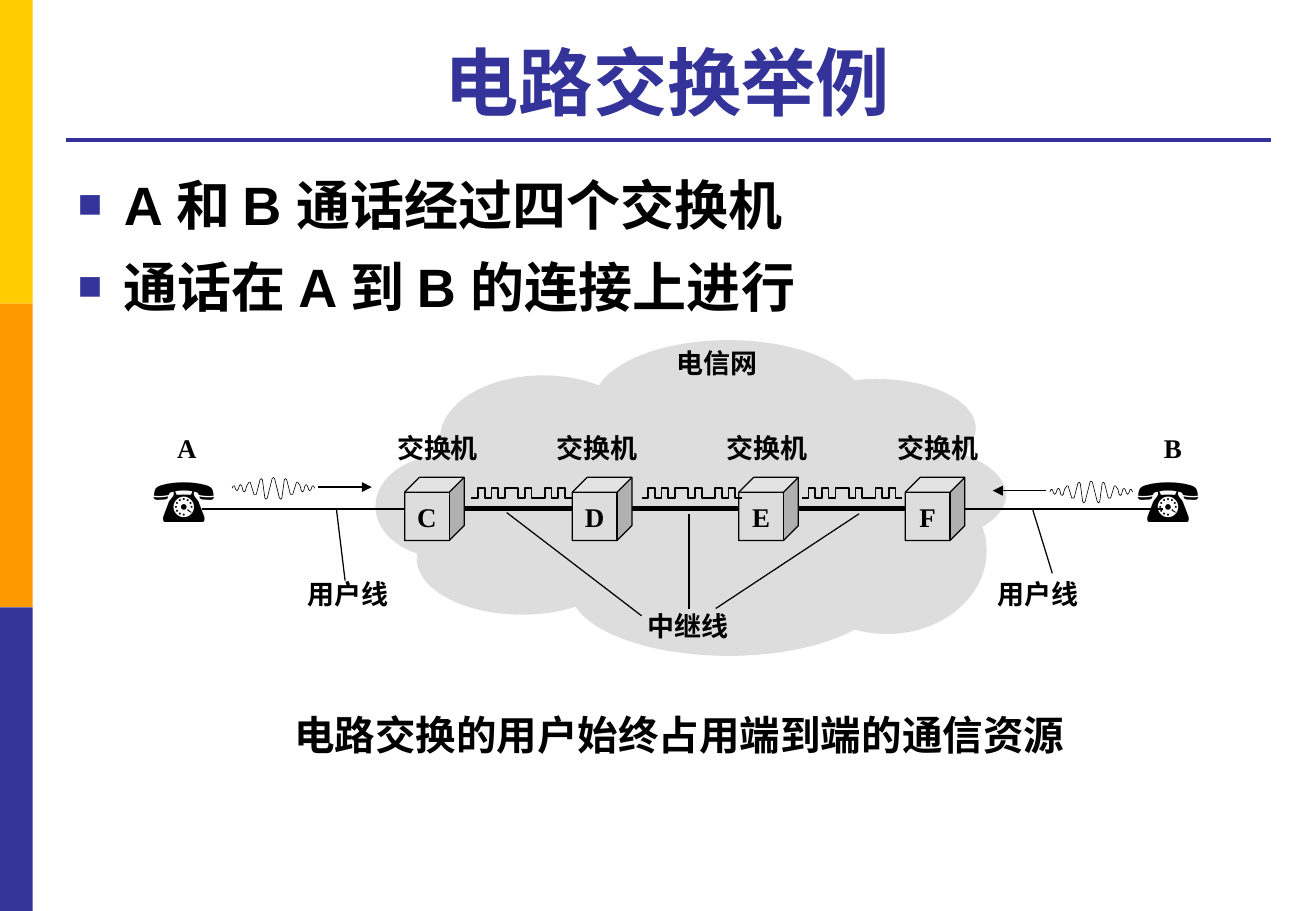
import dataclasses
import typing

import pptx
import pptx.dml.color
import pptx.enum.shapes
import pptx.enum.text
import pptx.oxml
import pptx.util

Inches = pptx.util.Inches
Shapes = pptx.enum.shapes.MSO_SHAPE
Align = pptx.enum.text.PP_ALIGN
Anchor = pptx.enum.text.MSO_ANCHOR
Point = tuple[float, float]
Box = tuple[float, float, float, float]


@dataclasses.dataclass(frozen=True)
class Theme:
    navy: str = "333399"
    orange: str = "FF9900"
    yellow: str = "FFCC00"
    grey: str = "DDDDDD"
    black: str = "000000"
    sans: str = "Arial"
    serif: str = "Times New Roman"
    title: float = 44
    body: float = 32
    phone: float = 36
    summary: float = 24
    label: float = 16
    rule: float = 2.25
    trunk: float = 3
    thin: float = 0.75
    pulse: float = 1
    wave: float = 0.38


class Switch(typing.NamedTuple):
    letter: str
    left: float
    label_left: float


class Label(typing.NamedTuple):
    text: str
    left: float
    top: float
    width: float = 0.88


class Line(typing.NamedTuple):
    start: Point
    end: Point
    weight: float
    arrow: bool = False


THEME = Theme()
BULLETS = ["A 和 B 通话经过四个交换机", "通话在 A 到 B 的连接上进行"]
CLOUD: list[Box] = [
    (4.88, 2.8, 2.23, 1.05), (3.62, 3.09, 1.7, 1.05), (3.09, 3.75, 1.13, 0.84),
    (3.43, 4.14, 1.73, 0.92), (4.69, 4.3, 2.61, 1.1), (6.39, 3.12, 1.64, 0.81),
    (6.64, 3.67, 1.64, 0.81), (6.48, 3.85, 1.64, 1.37), (4.03, 3.43, 3.37, 1.37),
]
SWITCHES = [Switch("C", 3.33, 3.17), Switch("D", 4.71, 4.48),
            Switch("E", 6.08, 5.88), Switch("F", 7.45, 7.29)]
LABELS = [
    Label("A", 1.36, 3.5, 0.36), Label("B", 9.48, 3.5, 0.35),
    Label("电信网", 5.47, 2.8), Label("中继线", 5.23, 4.97),
    Label("用户线", 2.43, 4.71), Label("用户线", 8.11, 4.71),
    *[Label("交换机", switch.label_left, 3.5) for switch in SWITCHES],
]
TRUNK = Line((3.58, 4.19), (7.62, 4.19), THEME.trunk)
LINES = [
    Line((1.66, 4.19), (3.41, 4.19), THEME.thin),
    Line((7.7, 4.19), (9.57, 4.19), THEME.thin),
    Line((4.17, 4.22), (5.28, 5.07), THEME.thin),
    Line((5.67, 4.23), (5.67, 5.01), THEME.thin),
    Line((7.07, 4.23), (5.89, 5.01), THEME.thin),
    Line((2.77, 4.2), (2.84, 4.78), THEME.thin),
    Line((8.5, 4.2), (8.66, 4.72), THEME.thin),
    Line((8.61, 4.04), (8.17, 4.04), THEME.thin, True),
    Line((2.62, 4.01), (3.06, 4.01), THEME.thin, True),
]
VOICE_STARTS: list[Point] = [(1.91, 4.01), (8.64, 4.04)]
VOICE_HALF_WIDTH = 0.34
VOICE_HALF: list[Point] = [
    (0, 0.01), (0.01, -0.01), (0.02, -0.01), (0.03, 0.02), (0.04, 0.03), (0.05, 0.02),
    (0.06, -0.01), (0.07, -0.02), (0.08, -0.01), (0.09, 0.03), (0.1, 0.04),
    (0.11, 0.03), (0.12, -0.01), (0.14, -0.04), (0.15, -0.04), (0.18, 0.06),
    (0.19, 0.06), (0.2, 0.06), (0.23, -0.06), (0.24, -0.07), (0.25, -0.06),
    (0.27, 0.09), (0.28, 0.1), (0.29, 0.09), (0.33, -0.07), (VOICE_HALF_WIDTH, -0.08),
]
PULSE_STARTS = [3.88, 5.28, 6.6]
PULSE_FLIPS = [1, 2, 3, 4, 5, 7, 8, 9, 11, 12, 13, 14]
PULSE_LENGTH, PULSE_UNIT = 15, 0.055
PULSE_LOW, PULSE_HIGH = 4.1, 4.02


def rgb(colour: str) -> pptx.dml.color.RGBColor:
    return pptx.dml.color.RGBColor.from_string(colour)


def xml(tag: str):
    """Build one DrawingML element from its tag and attributes."""
    namespace = "http://schemas.openxmlformats.org/drawingml/2006/main"
    return pptx.oxml.parse_xml(f'<a:{tag} xmlns:a="{namespace}"/>')


def place(shape, box: Box) -> None:
    shape.left, shape.top, shape.width, shape.height = map(Inches, box)


def add_run(paragraph, text: str, size: float, face: str, colour: str = THEME.black) -> None:
    run = paragraph.add_run()
    run.text = text
    run.font.size, run.font.name, run.font.bold = pptx.util.Pt(size), face, True
    run.font.color.rgb = rgb(colour)


def add_solid(slide, kind, box: Box, colour: str):
    solid = slide.shapes.add_shape(kind, *map(Inches, box))
    solid.shadow.inherit = False
    solid.fill.solid()
    solid.fill.fore_color.rgb = rgb(colour)
    solid.line.fill.background()
    return solid


def set_stroke(shape, weight: float, colour: str = THEME.black) -> None:
    shape.line.color.rgb = rgb(colour)
    shape.line.width = pptx.util.Pt(weight)


def add_line(slide, line: Line, colour: str = THEME.black) -> None:
    connector = slide.shapes.add_connector(
        pptx.enum.shapes.MSO_CONNECTOR.STRAIGHT, *map(Inches, line.start + line.end))
    set_stroke(connector, line.weight, colour)
    if line.arrow:
        connector.line._get_or_add_ln().append(xml('tailEnd type="triangle"'))
    connector._element.spPr.append(xml("effectLst"))


def add_text(slide, text: str, box: Box, size: float, face: str,
             align=Align.LEFT, wrap: bool = True) -> None:
    frame = slide.shapes.add_textbox(*map(Inches, box)).text_frame
    frame.word_wrap = wrap
    frame.paragraphs[0].alignment = align
    add_run(frame.paragraphs[0], text, size, face)


def add_switch(slide, switch: Switch) -> None:
    cube = add_solid(slide, Shapes.CUBE, (switch.left, 3.93, 0.49, 0.52), THEME.grey)
    set_stroke(cube, THEME.thin)
    frame = cube.text_frame
    frame.word_wrap, frame.vertical_anchor = False, Anchor.MIDDLE
    frame.paragraphs[0].alignment = Align.CENTER
    add_run(frame.paragraphs[0], switch.letter, THEME.label, THEME.serif)


def add_signal(slide, points: list[Point], weight: float) -> None:
    corners = [(Inches(x), Inches(y)) for x, y in points]
    builder = slide.shapes.build_freeform(*corners[0])
    builder.add_line_segments(corners[1:], close=False)
    signal = builder.convert_to_shape()
    signal.shadow.inherit = False
    signal.fill.background()
    set_stroke(signal, weight)


def voice_points(start: Point) -> list[Point]:
    """Mirror the half wave about its centre."""
    mirrored = [(2 * VOICE_HALF_WIDTH - x, y) for x, y in reversed(VOICE_HALF[:-1])]
    return [(start[0] + x, start[1] + y) for x, y in VOICE_HALF + mirrored]


def pulse_points(left: float) -> list[Point]:
    points, level, other = [(left, PULSE_LOW)], PULSE_LOW, PULSE_HIGH
    for flip in PULSE_FLIPS:
        x = left + flip * PULSE_UNIT
        points += [(x, level), (x, other)]
        level, other = other, level
    return points + [(left + PULSE_LENGTH * PULSE_UNIT, level)]


def fill_placeholders(slide) -> None:
    title, body = slide.placeholders
    place(title, (0.54, 0.21, 9.91, 0.87))
    place(body, (0.54, 1.31, 9.91, 5.4))
    for holder in (title, body):
        holder.text_frame.auto_size = pptx.enum.text.MSO_AUTO_SIZE.NONE
    title.text_frame.vertical_anchor = Anchor.BOTTOM
    heading = title.text_frame.paragraphs[0]
    heading.alignment = Align.CENTER
    add_run(heading, "电路交换举例", THEME.title, THEME.sans, THEME.navy)
    for index, bullet in enumerate(BULLETS):
        frame = body.text_frame
        item = frame.add_paragraph() if index else frame.paragraphs[0]
        item.line_spacing, item.space_before = 1.1, pptx.util.Pt(6)
        properties = item._p.get_or_add_pPr()
        properties.set("marL", str(Inches(0.38)))
        properties.set("indent", str(Inches(-0.38)))
        marker_colour = xml("buClr")
        marker_colour.append(xml(f'srgbClr val="{THEME.navy}"'))
        properties.extend([marker_colour, xml('buSzPct val="75000"'),
                           xml(f'buFont typeface="{THEME.sans}"'), xml('buChar char="■"')])
        add_run(item, bullet, THEME.body, THEME.sans)


def main() -> None:
    deck = pptx.Presentation()
    deck.slide_width, deck.slide_height = Inches(10.83), Inches(7.5)
    slide = deck.slides.add_slide(deck.slide_layouts.get_by_name("Title and Content"))
    fill_placeholders(slide)
    for index, colour in enumerate((THEME.yellow, THEME.orange, THEME.navy)):
        add_solid(slide, Shapes.RECTANGLE, (0, 2.5 * index, 0.27, 2.5), colour)
    add_line(slide, Line((0.54, 1.15), (10.46, 1.15), THEME.rule), THEME.navy)
    for puff in CLOUD:
        add_solid(slide, Shapes.OVAL, puff, THEME.grey)
    add_line(slide, TRUNK)
    for left in (1.16, 9.26):
        add_text(slide, "☎", (left, 3.75, 0.8, 0.71), THEME.phone, THEME.serif)
    for line in LINES:
        add_line(slide, line)
    for switch in SWITCHES:
        add_switch(slide, switch)
    for label in LABELS:
        add_text(slide, label.text, (label.left, label.top, label.width, 0.37),
                 THEME.label, THEME.serif, wrap=False)
    for start in VOICE_STARTS:
        add_signal(slide, voice_points(start), THEME.wave)
    for left in PULSE_STARTS:
        add_signal(slide, pulse_points(left), THEME.pulse)
    add_text(slide, "电路交换的用户始终占用端到端的通信资源", (1.36, 5.8, 8.46, 0.5),
             THEME.summary, THEME.sans, Align.CENTER)
    deck.save("out.pptx")


if __name__ == "__main__":
    main()
